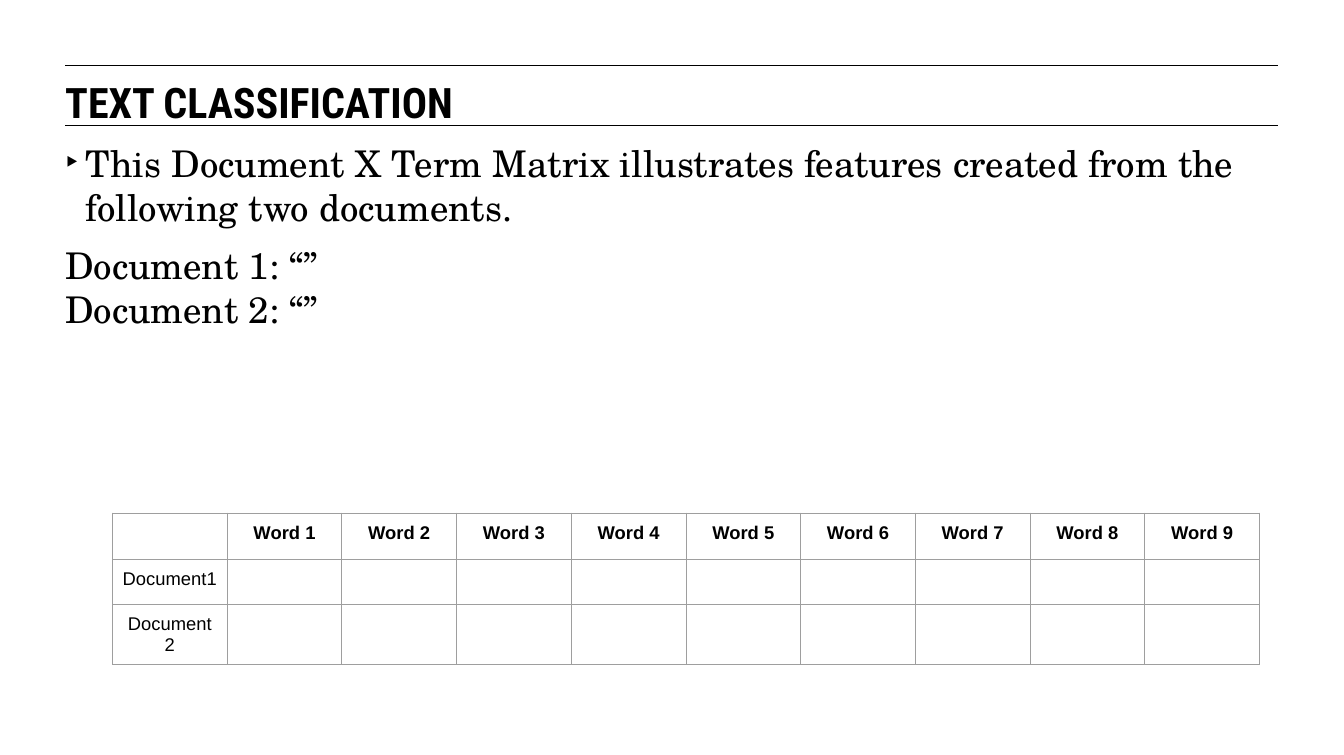
from dataclasses import dataclass

import pptx
import pptx.dml.color
import pptx.enum.shapes
import pptx.enum.text
import pptx.oxml
import pptx.oxml.ns
import pptx.util
from lxml import etree

Pt = pptx.util.Pt
qn = pptx.oxml.ns.qn
COLORS = {"text": "000000", "border": "9E9E9E", "background": "FFFFFF"}
LEFT, WIDTH = 49.7, 924
COLUMN_WIDTH = 87.4
ROW_HEIGHTS = (35, 34.5, 45.6)


@dataclass
class Style:
    font: str
    size: float
    bold: bool = False


@dataclass
class Passage:
    text: str
    space_before: float = 0
    bullet: str = ""


TITLE = Style("Roboto Condensed", 32, True)
BODY = Style("TeX Gyre Schola", 28)
HEADER = Style("Arial", 14, True)
LABEL = Style("Arial", 14)
RULE_TOPS = (49.7, 95.8)
PASSAGES = (
    Passage("This Document X Term Matrix illustrates features created from "
            "the following two documents.", bullet="‣"),
    Passage("Document 1: “”", space_before=11.4),
    Passage("Document 2: “”"),
)
ROWS = (
    ("", *(f"Word {number}" for number in range(1, 10))),
    ("Document1", *[""] * 9),
    ("Document 2", *[""] * 9),
)


def color(name: str) -> pptx.dml.color.RGBColor:
    return pptx.dml.color.RGBColor.from_string(COLORS[name])


def add_run(paragraph, text: str, style: Style) -> None:
    run = paragraph.add_run()
    run.text = text
    run.font.name = style.font
    run.font.size = Pt(style.size)
    run.font.bold = style.bold
    run.font.color.rgb = color("text")


def prepare_frame(frame) -> None:
    frame.word_wrap = True
    frame.auto_size = pptx.enum.text.MSO_AUTO_SIZE.NONE
    frame.vertical_anchor = pptx.enum.text.MSO_ANCHOR.TOP
    frame.margin_left = frame.margin_right = Pt(0)
    frame.margin_top = frame.margin_bottom = Pt(0)


def add_rule(slide, top: float) -> None:
    rule = slide.shapes.add_connector(
        pptx.enum.shapes.MSO_CONNECTOR.STRAIGHT,
        Pt(LEFT), Pt(top), Pt(LEFT + WIDTH), Pt(top))
    rule.line.color.rgb = color("text")
    rule.line.width = Pt(0.75)
    etree.SubElement(rule._element.spPr, qn("a:effectLst"))


def set_title(slide) -> None:
    title = slide.shapes.title
    title.left, title.top = Pt(LEFT), Pt(58.3)
    title.width, title.height = Pt(WIDTH), Pt(34)
    prepare_frame(title.text_frame)
    paragraph = title.text_frame.paragraphs[0]
    paragraph.alignment = pptx.enum.text.PP_ALIGN.LEFT
    add_run(paragraph, "TEXT CLASSIFICATION", TITLE)


def add_bullet(paragraph, symbol: str) -> None:
    properties = paragraph._p.get_or_add_pPr()
    properties.set("marL", str(Pt(15.8)))
    properties.set("indent", str(Pt(-15.8)))
    bullet_color = etree.SubElement(properties, qn("a:buClr"))
    etree.SubElement(bullet_color, qn("a:srgbClr"), val=COLORS["text"])
    etree.SubElement(properties, qn("a:buFont"), typeface="Arial")
    etree.SubElement(properties, qn("a:buChar"), char=symbol)


def add_body(slide) -> None:
    shape = slide.shapes.add_textbox(Pt(LEFT), Pt(107), Pt(WIDTH), Pt(264))
    frame = shape.text_frame
    prepare_frame(frame)
    for index, passage in enumerate(PASSAGES):
        paragraph = frame.add_paragraph() if index else frame.paragraphs[0]
        paragraph.line_spacing = Pt(33.5)
        paragraph.space_before = Pt(passage.space_before)
        if passage.bullet:
            add_bullet(paragraph, passage.bullet)
        add_run(paragraph, passage.text, BODY)


def format_cell(cell, text: str, style: Style) -> None:
    cell.fill.background()
    cell.margin_left = cell.margin_right = Pt(7.2)
    cell.margin_top = cell.margin_bottom = Pt(7.2)
    paragraph = cell.text_frame.paragraphs[0]
    paragraph.alignment = pptx.enum.text.PP_ALIGN.CENTER
    paragraph.font.size = Pt(style.size)
    if text:
        add_run(paragraph, text, style)
    properties = cell._tc.get_or_add_tcPr()
    for index, side in enumerate(("lnL", "lnR", "lnT", "lnB")):
        border = etree.Element(qn(f"a:{side}"), w=str(Pt(0.75)))
        fill = etree.SubElement(border, qn("a:solidFill"))
        etree.SubElement(fill, qn("a:srgbClr"), val=COLORS["border"])
        properties.insert(index, border)


def add_matrix(slide) -> None:
    columns = len(ROWS[0])
    table = slide.shapes.add_table(
        len(ROWS), columns, Pt(85.7), Pt(391),
        Pt(COLUMN_WIDTH * columns), Pt(sum(ROW_HEIGHTS))).table
    table.horz_banding = False
    table.first_row = False
    for column in table.columns:
        column.width = Pt(COLUMN_WIDTH)
    for row_index, (texts, height) in enumerate(zip(ROWS, ROW_HEIGHTS)):
        table.rows[row_index].height = Pt(height)
        style = LABEL if row_index else HEADER
        for column_index, text in enumerate(texts):
            format_cell(table.cell(row_index, column_index), text, style)


def main() -> None:
    presentation = pptx.Presentation()
    presentation.slide_width = Pt(1024)
    presentation.slide_height = Pt(575.3)
    slide = presentation.slides.add_slide(presentation.slide_layouts[5])
    slide.background.fill.solid()
    slide.background.fill.fore_color.rgb = color("background")
    for top in RULE_TOPS:
        add_rule(slide, top)
    set_title(slide)
    add_body(slide)
    add_matrix(slide)
    presentation.save("out.pptx")


if __name__ == "__main__":
    main()
